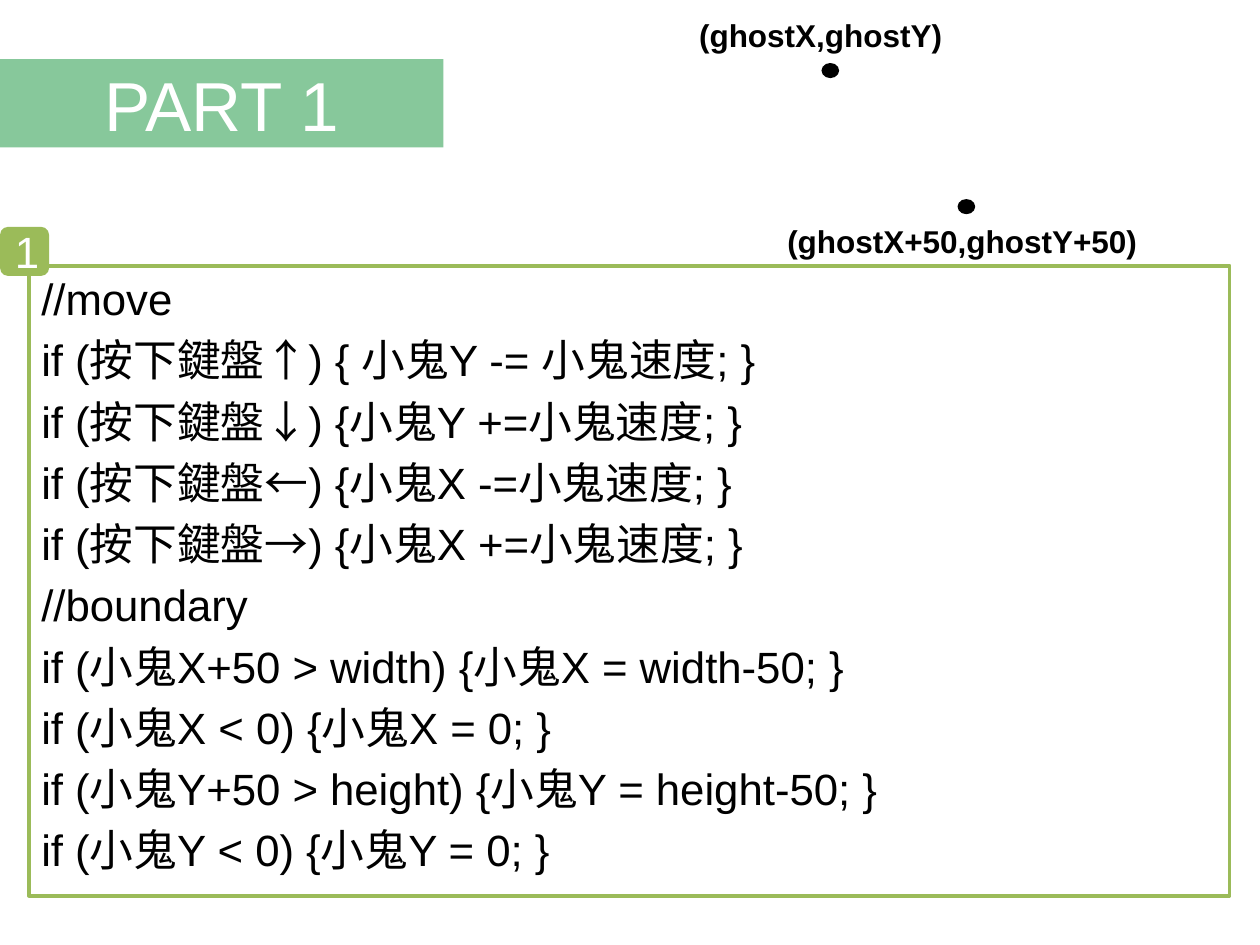
"""Build the PART 1 slide: moving the ghost and keeping it inside the window."""
from dataclasses import dataclass

from pptx import Presentation
from pptx.dml.color import RGBColor
from pptx.enum.shapes import MSO_SHAPE as Geometry
from pptx.enum.text import MSO_ANCHOR as Anchor, PP_ALIGN as Align
from pptx.shapes.autoshape import Shape
from pptx.slide import Slide
from pptx.util import Inches, Pt


@dataclass(frozen=True)
class Theme:
    """Colours, font and type sizes of the slide."""
    green: RGBColor = RGBColor(0x9B, 0xBB, 0x59)
    mint: RGBColor = RGBColor(0x87, 0xC8, 0x9B)
    black: RGBColor = RGBColor(0, 0, 0)
    white: RGBColor = RGBColor(0xFF, 0xFF, 0xFF)
    font: str = "Arial"
    title: float = 39.6
    code: float = 25
    label: float = 18


@dataclass(frozen=True)
class Box:
    """Position and size in inches."""
    left: float
    top: float
    width: float
    height: float

    def emu(self) -> tuple[Inches, ...]:
        """Return the four lengths as python-pptx expects them."""
        return tuple(map(Inches, (self.left, self.top, self.width, self.height)))


@dataclass(frozen=True)
class Corner:
    """A marked corner of the ghost and its coordinates."""
    text: str
    dot: Box
    label: Box


THEME = Theme()
MOVES = (("↑", " 小鬼Y -= 小鬼速度"), ("↓", "小鬼Y +=小鬼速度"),
         ("←", "小鬼X -=小鬼速度"), ("→", "小鬼X +=小鬼速度"))
LIMITS = (("X+50 > width", "X = width-50"), ("X < 0", "X = 0"),
          ("Y+50 > height", "Y = height-50"), ("Y < 0", "Y = 0"))
CODE = ("//move",
        *(f"if (按下鍵盤{key}) {{{action}; }}" for key, action in MOVES),
        "//boundary",
        *(f"if (小鬼{test}) {{小鬼{action}; }}" for test, action in LIMITS))
CORNERS = (
    Corner("(ghostX,ghostY)", Box(6.52, 0.5, 0.14, 0.12), Box(5.45, 0.08, 2.41, 0.4)),
    Corner("(ghostX+50,ghostY+50)", Box(7.6, 1.58, 0.14, 0.12), Box(6.15, 1.71, 3.1, 0.4)),
)


def add_block(slide: Slide, geometry: Geometry, box: Box, fill: RGBColor) -> Shape:
    """Add a flat filled shape without an outline."""
    block = slide.shapes.add_shape(geometry, *box.emu())
    block.shadow.inherit = False
    block.fill.solid()
    block.fill.fore_color.rgb = fill
    block.line.fill.background()
    return block


def write(shape: Shape, lines: tuple[str, ...], size: float, color: RGBColor,
          align: Align = Align.LEFT, anchor: Anchor = Anchor.TOP, bold: bool = False) -> None:
    """Write one paragraph per line in a single style."""
    frame = shape.text_frame
    frame.word_wrap = True
    frame.vertical_anchor = anchor
    frame.text = "\n".join(lines)
    for paragraph in frame.paragraphs:
        paragraph.alignment = align
        font = paragraph.font
        font.name, font.size, font.bold = THEME.font, Pt(size), bold
        font.color.rgb = color


def add_code(slide: Slide) -> None:
    """Add the outlined panel of pseudocode with hanging indents."""
    panel = add_block(slide, Geometry.RECTANGLE, Box(0.23, 2.11, 9.53, 5), THEME.white)
    panel.line.color.rgb = THEME.green
    panel.line.width = Pt(2)
    write(panel, CODE, THEME.code, THEME.black)
    for index, paragraph in enumerate(panel.text_frame.paragraphs):
        paragraph.space_before = Pt(5 if index else 0)
        properties = paragraph._p.get_or_add_pPr()
        properties.set("marL", str(Inches(0.38)))
        properties.set("indent", str(-Inches(0.38)))


def add_corner(slide: Slide, corner: Corner) -> None:
    """Add a dot with its coordinate label."""
    add_block(slide, Geometry.OVAL, corner.dot, THEME.black)
    label = slide.shapes.add_textbox(*corner.label.emu())
    write(label, (corner.text,), THEME.label, THEME.black, bold=True)


def main() -> None:
    """Build and save the slide."""
    deck = Presentation()
    deck.slide_width, deck.slide_height = Inches(10), Inches(7.5)
    slide = deck.slides.add_slide(deck.slide_layouts[6])
    add_code(slide)
    title = add_block(slide, Geometry.RECTANGLE, Box(0, 0.47, 3.52, 0.7), THEME.mint)
    write(title, ("PART 1",), THEME.title, THEME.white, Align.CENTER, Anchor.MIDDLE)
    badge = add_block(slide, Geometry.ROUNDED_RECTANGLE, Box(0, 1.8, 0.39, 0.39), THEME.green)
    write(badge, ("1",), THEME.code, THEME.white, Align.CENTER, Anchor.MIDDLE)
    for corner in CORNERS:
        add_corner(slide, corner)
    deck.save("out.pptx")


if __name__ == "__main__":
    main()
